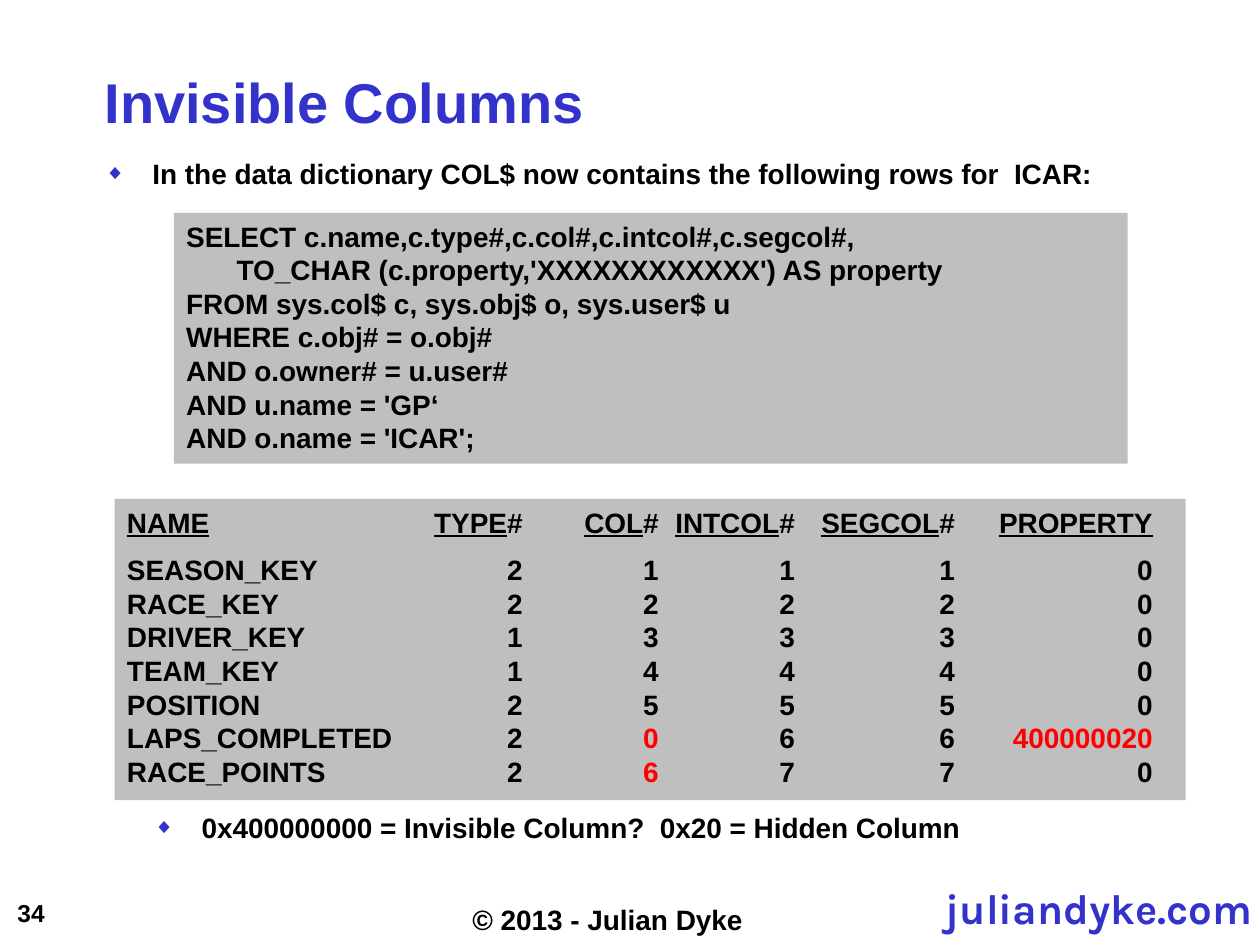
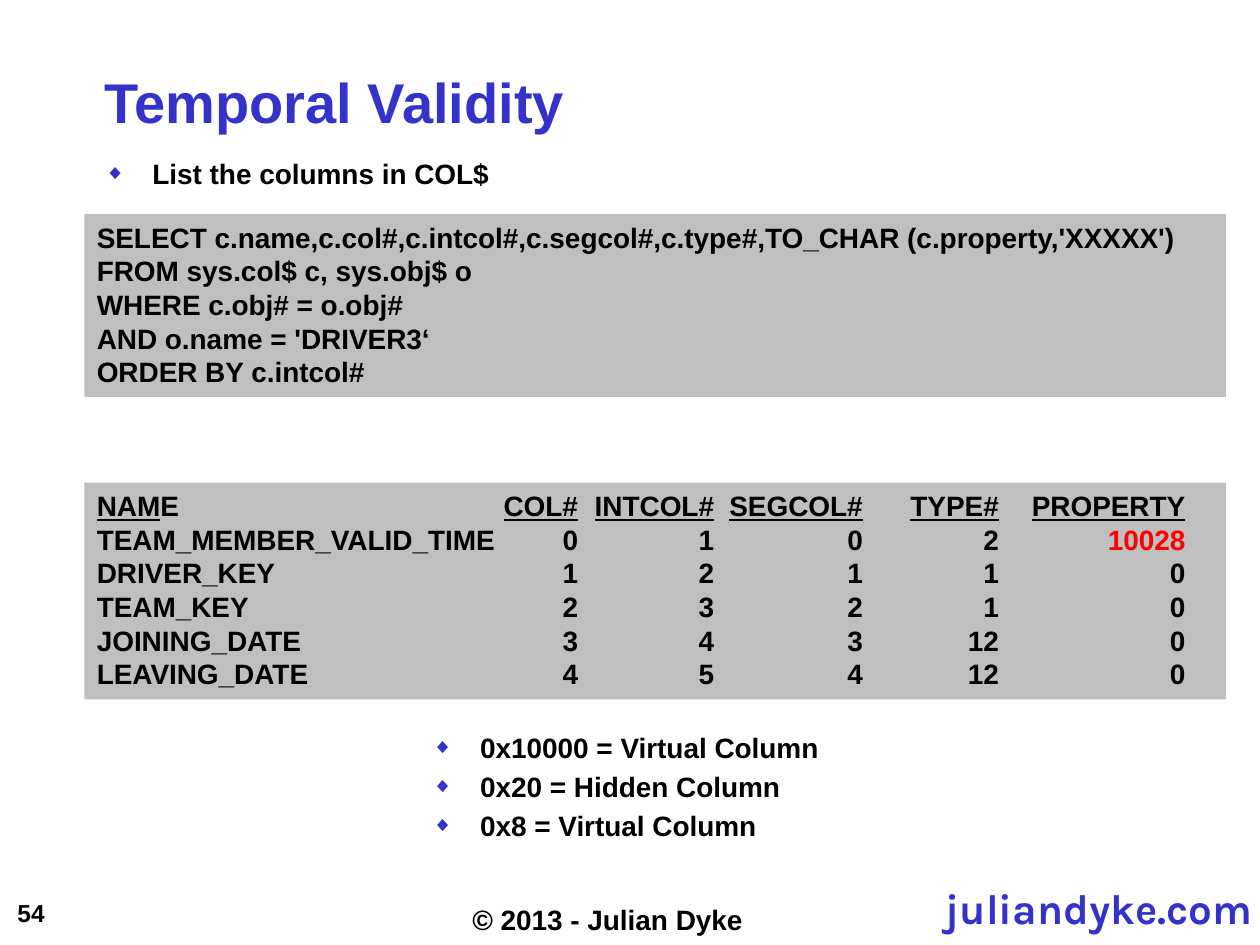
from lxml.etree import SubElement
from pptx import Presentation
from pptx.dml.color import RGBColor
from pptx.enum.shapes import MSO_SHAPE
from pptx.enum.text import MSO_ANCHOR, PP_ALIGN
from pptx.oxml.ns import qn
from pptx.util import Inches, Pt

BLUE = RGBColor(0x33, 0x33, 0xCC)
BLACK = RGBColor(0, 0, 0)
RED = RGBColor(0xFF, 0, 0)
GREY = RGBColor(0xBF, 0xBF, 0xBF)
TITLE_ONLY = 5
BULLET_INDENT = Inches(0.38)

# In the result listings, bars enclose the words to underline or redden.
ICAR_QUERY = """SELECT c.name,c.type#,c.col#,c.intcol#,c.segcol#,
\tTO_CHAR (c.property,'XXXXXXXXXXXX') AS property
FROM sys.col$ c, sys.obj$ o, sys.user$ u
WHERE c.obj# = o.obj#
AND o.owner# = u.user#
AND u.name = 'GP‘
AND o.name = 'ICAR';"""
ICAR_HEADINGS = "|NAME|\t|TYPE|#\t|COL|#\t|INTCOL|#\t|SEGCOL|#\t|PROPERTY|"
ICAR_ROWS = [
    "SEASON_KEY\t2\t1\t1\t1\t0",
    "RACE_KEY\t2\t2\t2\t2\t0",
    "DRIVER_KEY\t1\t3\t3\t3\t0",
    "TEAM_KEY\t1\t4\t4\t4\t0",
    "POSITION\t2\t5\t5\t5\t0",
    "LAPS_COMPLETED\t2\t|0|\t6\t6\t|400000020|",
    "RACE_POINTS\t2\t|6|\t7\t7\t0",
]
DRIVER_QUERY = """SELECT c.name,c.col#,c.intcol#,c.segcol#,c.type#,TO_CHAR (c.property,'XXXXX')
FROM sys.col$ c, sys.obj$ o
WHERE c.obj# = o.obj#
AND o.name = 'DRIVER3‘
ORDER BY c.intcol#"""
DRIVER_HEADINGS = "|NAM|E\t|COL#|\t|INTCOL#|\t|SEGCOL#|\t|TYPE#|\t|PROPERTY|"
DRIVER_ROWS = [
    "TEAM_MEMBER_VALID_TIME\t0\t1\t0\t2\t|10028|",
    "DRIVER_KEY\t1\t2\t1\t1\t0",
    "TEAM_KEY\t2\t3\t2\t1\t0",
    "JOINING_DATE\t3\t4\t3\t12\t0",
    "LEAVING_DATE\t4\t5\t4\t12\t0",
]


def set_font(paragraph, size=16, color=BLACK, name="Arial", bold=True):
    font = paragraph.font
    font.name, font.size, font.bold = name, Pt(size), bold
    font.color.rgb = color


def set_frame(frame, margins, anchor=MSO_ANCHOR.TOP, wrap=True):
    """Set the margins (left, top, right, bottom), anchor and wrapping."""
    (frame.margin_left, frame.margin_top,
     frame.margin_right, frame.margin_bottom) = map(Inches, margins)
    frame.vertical_anchor = anchor
    frame.word_wrap = wrap


def add_label(slide, box, text, margins, **frame_options):
    frame = slide.shapes.add_textbox(*map(Inches, box)).text_frame
    set_frame(frame, margins, **frame_options)
    paragraph = frame.paragraphs[0]
    paragraph.text = text
    return paragraph


def add_footer(slide, number):
    site = add_label(slide, (7.28, 7.06, 2.68, 0.36), "juliandyke.com", (0.02,) * 4)
    site.alignment = PP_ALIGN.RIGHT
    site.line_spacing = 0.8
    set_font(site, 24, BLUE, "Karla")
    page = add_label(slide, (0.04, 7.08, 0.42, 0.33), str(number),
                     (0.1, 0.05, 0.1, 0.05), anchor=MSO_ANCHOR.MIDDLE, wrap=False)
    set_font(page, 14)
    copyright_line = add_label(slide, (3.65, 7.14, 2.45, 0.31),
                               "© 2013 - Julian Dyke", (0.1, 0.02, 0.1, 0.02))
    set_font(copyright_line)


def add_titled_slide(deck, title_text, number):
    slide = deck.slides.add_slide(deck.slide_layouts[TITLE_ONLY])
    title = slide.shapes.title
    title.left, title.top = Inches(0.83), Inches(0.08)
    title.width, title.height = Inches(8.75), Inches(0.99)
    set_frame(title.text_frame, (0, 0.05, 0, 0), MSO_ANCHOR.BOTTOM)
    heading = title.text_frame.paragraphs[0]
    heading.text = title_text
    heading.alignment = PP_ALIGN.LEFT
    set_font(heading, 32, BLUE)
    add_footer(slide, number)
    return slide


def add_bullets(slide, box, items):
    frame = slide.shapes.add_textbox(*map(Inches, box)).text_frame
    set_frame(frame, (0, 0, 0.1, 0.05))
    for index, item in enumerate(items):
        paragraph = frame.add_paragraph() if index else frame.paragraphs[0]
        paragraph.text = item
        if index:
            paragraph.space_before = Pt(3)
        properties = paragraph._p.get_or_add_pPr()
        properties.set("marL", str(BULLET_INDENT))
        properties.set("indent", str(-BULLET_INDENT))
        bullet_color = SubElement(properties, qn("a:buClr"))
        SubElement(bullet_color, qn("a:srgbClr"), val=str(BLUE))
        SubElement(properties, qn("a:buSzPct"), val="75000")
        SubElement(properties, qn("a:buFont"), typeface="Arial")
        SubElement(properties, qn("a:buChar"), char="◆")
        set_font(paragraph)


def add_panel(slide, box):
    """Add a grey box and return its text frame."""
    panel = slide.shapes.add_shape(MSO_SHAPE.RECTANGLE, *map(Inches, box))
    panel.shadow.inherit = False
    panel.fill.solid()
    panel.fill.fore_color.rgb = GREY
    panel.line.fill.background()
    set_frame(panel.text_frame, (0.1, 0.05, 0.1, 0.05))
    return panel.text_frame


def format_listing(paragraph, tab_stops, tab_side):
    paragraph.alignment = PP_ALIGN.LEFT
    tab_list = SubElement(paragraph._p.get_or_add_pPr(), qn("a:tabLst"))
    for stop in tab_stops:
        SubElement(tab_list, qn("a:tab"), pos=str(Inches(stop)), algn=tab_side)
    set_font(paragraph)


def add_query(slide, box, query):
    paragraph = add_panel(slide, box).paragraphs[0]
    paragraph.text = query
    format_listing(paragraph, [0.4], "l")


def underline(font):
    font.underline = True


def redden(font):
    font.color.rgb = RED


def add_marked_line(paragraph, line, mark):
    """Add the line as runs, calling mark on the font of each part between bars."""
    for index, part in enumerate(line.split("|")):
        if part:
            run = paragraph.add_run()
            run.text = part
            if index % 2:
                mark(run.font)


def add_result(slide, box, headings, rows, tab_stops, gap=None):
    """Add a query result; a gap in points sets the headings apart."""
    frame = add_panel(slide, box)
    paragraph = frame.paragraphs[0]
    format_listing(paragraph, tab_stops, "r")
    add_marked_line(paragraph, headings, underline)
    if gap:
        paragraph = frame.add_paragraph()
        paragraph.space_before = Pt(gap)
        format_listing(paragraph, tab_stops, "r")
    for index, row in enumerate(rows):
        if index or not gap:
            paragraph.add_line_break()
        add_marked_line(paragraph, row, redden)


def main():
    deck = Presentation()
    deck.slide_width, deck.slide_height = Inches(10), Inches(7.5)

    invisible = add_titled_slide(deck, "Invisible Columns", 34)
    add_bullets(invisible, (0.83, 1.24, 8.75, 0.46),
                ["In the data dictionary COL$ now contains the following rows for  ICAR:"])
    add_query(invisible, (1.38, 1.69, 7.57, 1.99), ICAR_QUERY)
    add_result(invisible, (0.91, 3.96, 8.5, 2.39), ICAR_HEADINGS, ICAR_ROWS,
               [3.14, 4.22, 5.3, 6.57, 8.14], gap=8)
    add_bullets(invisible, (1.22, 6.43, 7.17, 0.72),
                ["0x400000000 = Invisible Column?  0x20 = Hidden Column"])

    temporal = add_titled_slide(deck, "Temporal Validity", 54)
    add_bullets(temporal, (0.83, 1.24, 8.75, 0.46), ["List the columns in COL$"])
    add_query(temporal, (0.67, 1.7, 9.06, 1.45), DRIVER_QUERY)
    add_result(temporal, (0.67, 3.83, 9.06, 1.72), DRIVER_HEADINGS, DRIVER_ROWS,
               [3.82, 4.9, 6.08, 7.16, 8.64])
    add_bullets(temporal, (3.43, 5.8, 3.39, 1.02),
                ["0x10000 = Virtual Column", "0x20 = Hidden Column", "0x8 = Virtual Column"])

    deck.save("out.pptx")


if __name__ == "__main__":
    main()
